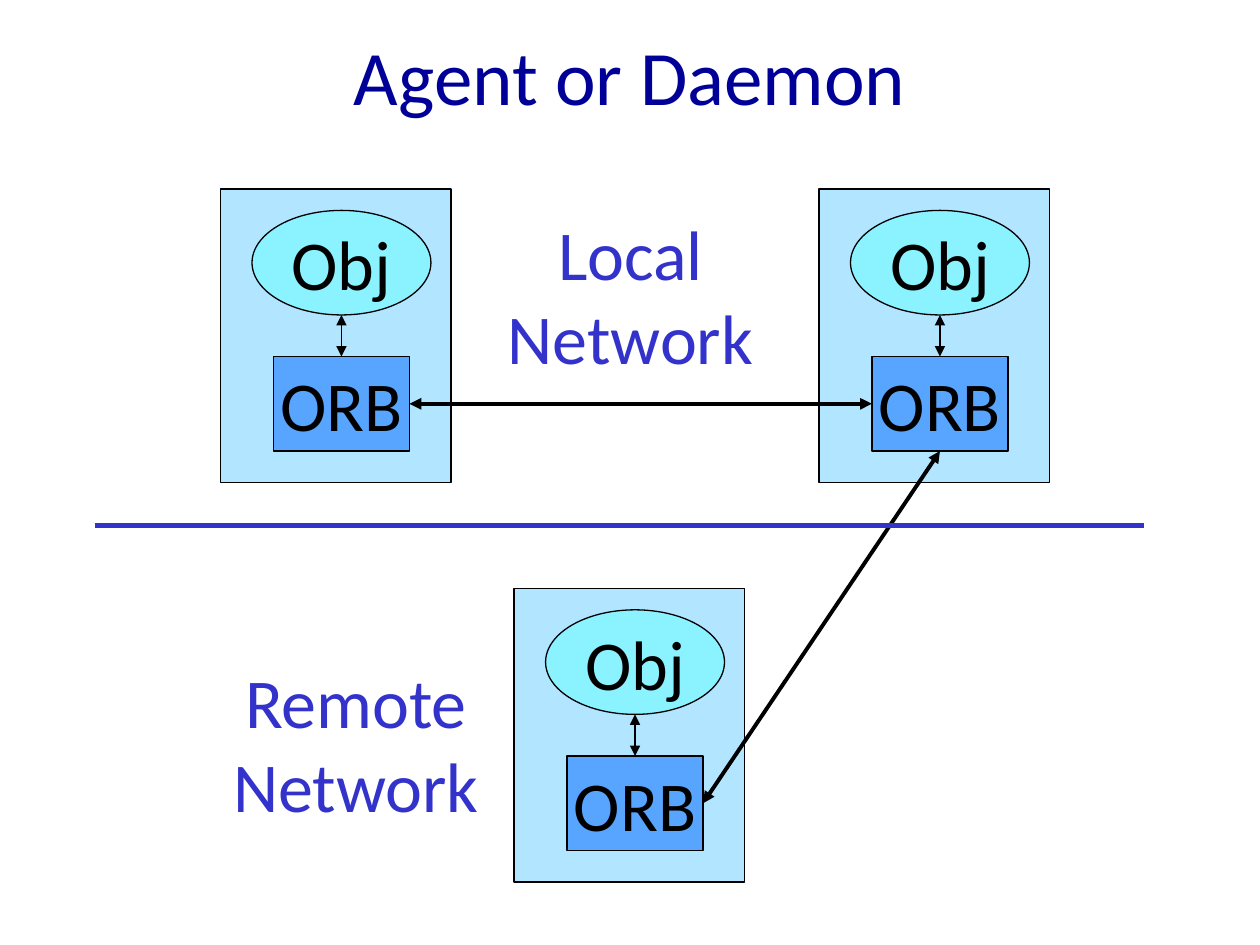
from lxml import etree
from pptx import Presentation
from pptx.dml.color import RGBColor
from pptx.enum.shapes import MSO_CONNECTOR, MSO_SHAPE
from pptx.enum.text import MSO_ANCHOR, MSO_AUTO_SIZE, PP_ALIGN
from pptx.oxml.ns import qn
from pptx.util import Inches, Pt

STRAIGHT = MSO_CONNECTOR.STRAIGHT
RECTANGLE, OVAL = MSO_SHAPE.RECTANGLE, MSO_SHAPE.OVAL
MIDDLE, CENTER = MSO_ANCHOR.MIDDLE, PP_ALIGN.CENTER
FIT_SHAPE = MSO_AUTO_SIZE.SHAPE_TO_FIT_TEXT
TOP, RIGHT, BOTTOM, LEFT = 0, 3, 2, 1

COLORS = {
    "host": "66CCFF",
    "orb": "0066FF",
    "object": "66FFFF",
    "black": "000000",
    "accent": "3333CC",
    "title": "000099",
}
HOST_WIDTH, HOST_HEIGHT = 1.83, 2.33


def color(name):
    return RGBColor.from_string(COLORS[name])


def write_text(shape, text, size=40, color_name="black"):
    frame = shape.text_frame
    frame.text = text
    frame.word_wrap = False
    frame.vertical_anchor = MIDDLE
    for paragraph in frame.paragraphs:
        paragraph.alignment = CENTER
        paragraph.font.name = "Calibri"
        paragraph.font.size = Pt(size)
        paragraph.font.color.rgb = color(color_name)


def add_label(slide, box, text, **text_format):
    label = slide.shapes.add_textbox(*map(Inches, box))
    write_text(label, text, **text_format)
    label.text_frame.auto_size = FIT_SHAPE


def add_block(shapes, kind, box, fill, text=None):
    """Add a half-transparent outlined shape."""
    block = shapes.add_shape(kind, *map(Inches, box))
    block.shadow.inherit = False
    block.fill.solid()
    block.fill.fore_color.rgb = color(fill)
    solid_color = block.fill._xPr.find(qn("a:solidFill"))[0]
    etree.SubElement(solid_color, qn("a:alpha"), val="50000")
    block.line.color.rgb = color("black")
    block.line.width = Pt(0.75)
    if text:
        write_text(block, text)
    return block


def add_line(shapes, start=(0, 0), end=(0, 0), width=0.75,
             color_name="black", arrows=True):
    line = shapes.add_connector(STRAIGHT, *map(Inches, (*start, *end)))
    line.line.color.rgb = color(color_name)
    line.line.width = Pt(width)
    if arrows:
        outline = line.line._get_or_add_ln()
        for tag in ("a:headEnd", "a:tailEnd"):
            etree.SubElement(outline, qn(tag), type="triangle")
    etree.SubElement(line._element.spPr, qn("a:effectLst"))
    return line


def add_host(slide, left, top):
    """Add a host with its object and its ORB, and return the ORB."""
    shapes = slide.shapes.add_group_shape().shapes
    add_block(shapes, RECTANGLE, (left, top, HOST_WIDTH, HOST_HEIGHT), "host")
    orb = add_block(shapes, RECTANGLE,
                    (left + 0.42, top + 1.33, 1.08, 0.75), "orb", "ORB")
    add_block(shapes, OVAL,
              (left + 0.25, top + 0.17, 1.42, 0.83), "object", "Obj")
    middle = left + 0.96
    arrow = add_line(shapes, (middle, top + 1), (middle, top + 1.33))
    arrow.end_connect(orb, TOP)
    return orb


def join_orbs(slide, first, first_side, second, second_side):
    arrow = add_line(slide.shapes, width=2.25)
    arrow.begin_connect(first, first_side)
    arrow.end_connect(second, second_side)


def add_network_slide(presentation):
    slide = presentation.slides.add_slide(presentation.slide_layouts[6])
    left_orb = add_host(slide, 1.75, 1.5)
    right_orb = add_host(slide, 6.5, 1.5)
    remote_orb = add_host(slide, 4.08, 4.67)

    join_orbs(slide, right_orb, BOTTOM, remote_orb, RIGHT)
    add_line(slide.shapes, (0.75, 4.17), (9.08, 4.17), width=3,
             color_name="accent", arrows=False)
    join_orbs(slide, left_orb, RIGHT, right_orb, LEFT)

    add_label(slide, (3.79, 1.62, 2.43, 1.44), "Local\nNetwork",
              color_name="accent")
    add_label(slide, (1.61, 5.17, 2.43, 1.44), "Remote\nNetwork",
              color_name="accent")
    add_label(slide, (2.35, 0.17, 5.3, 0.84), "Agent or Daemon",
              size=44, color_name="title")


def main():
    presentation = Presentation()
    presentation.slide_width = Inches(10)
    presentation.slide_height = Inches(7.5)
    add_network_slide(presentation)
    presentation.save("out.pptx")


if __name__ == "__main__":
    main()
